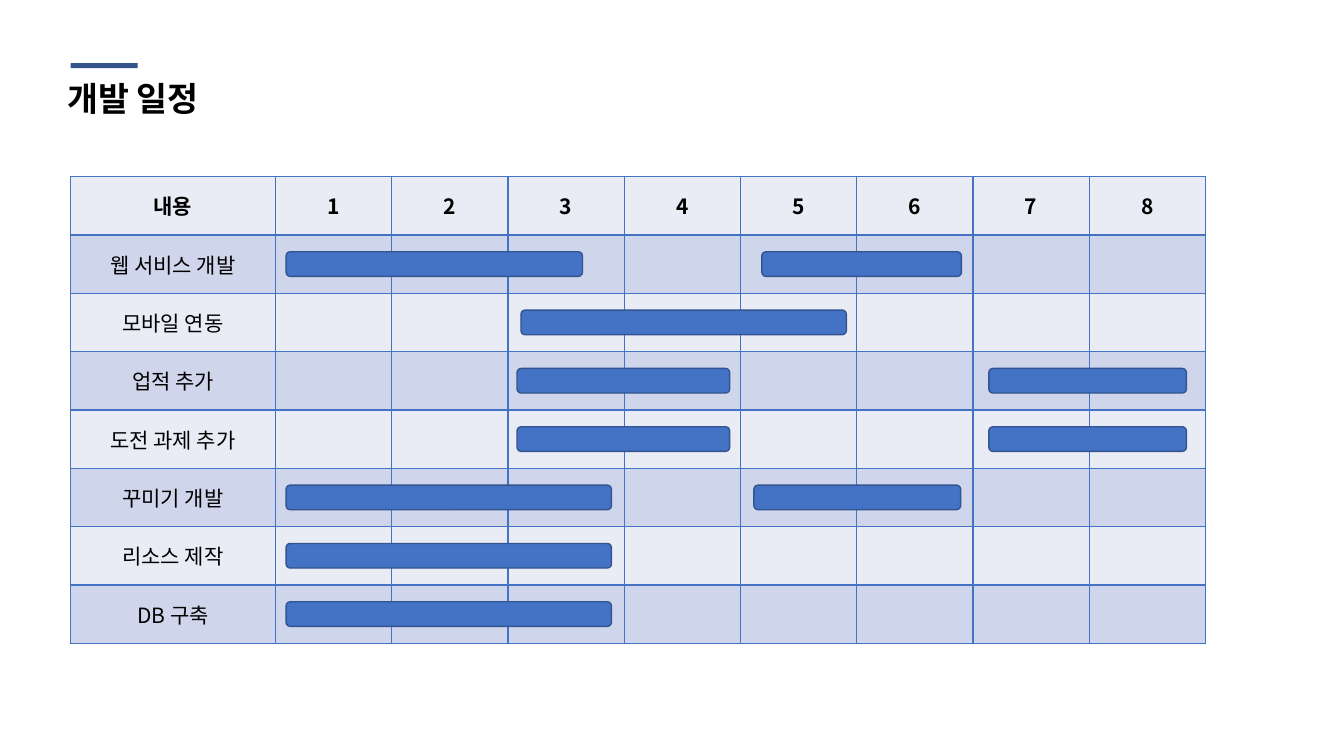
from lxml.etree import SubElement
from pptx import Presentation
from pptx.dml.color import RGBColor
from pptx.enum.shapes import MSO_SHAPE as SHAPE
from pptx.enum.text import MSO_ANCHOR as ANCHOR, PP_ALIGN as ALIGN
from pptx.oxml.ns import qn
from pptx.util import Cm, Pt

BLACK = RGBColor(0x00, 0x00, 0x00)
ACCENT = RGBColor(0x34, 0x55, 0x8B)
BLUE = RGBColor(0x44, 0x72, 0xC4)
BAR_LINE = RGBColor(0x32, 0x54, 0x91)
BANDS = [RGBColor(0xE9, 0xEB, 0xF5), RGBColor(0xCF, 0xD5, 0xEA)]
FONT = "Noto Sans CJK KR"

# Table geometry in centimetres
LEFT, TOP = 1.78, 4.45
LABEL_W, MONTH_W, ROW_H = 5.16, 2.93, 1.47
BAR_H = 0.62

MONTHS = 8
# Each task with its bars as (left, width) in centimetres
TASKS = [
    ("웹 서비스 개발", [(7.21, 7.47), (19.2, 5.03)]),
    ("모바일 연동", [(13.13, 8.2)]),
    ("업적 추가", [(13.03, 5.36), (24.92, 4.98)]),
    ("도전 과제 추가", [(13.03, 5.36), (24.92, 4.98)]),
    ("꾸미기 개발", [(7.21, 8.2), (19.0, 5.21)]),
    ("리소스 제작", [(7.21, 8.2)]),
    ("DB 구축", [(7.21, 8.2)]),
]


def style_run(r, size, bold, latin):
    r.font.size = Pt(size)
    r.font.bold = bold
    r.font.name = latin
    r.font.color.rgb = BLACK
    SubElement(r._r.get_or_add_rPr(), qn("a:ea"), typeface=FONT)


def add_borders(cell):
    tc_pr = cell._tc.get_or_add_tcPr()
    for side in ("a:lnL", "a:lnR", "a:lnT", "a:lnB"):
        ln = SubElement(tc_pr, qn(side), w=str(Pt(1)))
        fill = SubElement(ln, qn("a:solidFill"))
        SubElement(fill, qn("a:srgbClr"), val=str(BLUE))


prs = Presentation()
prs.slide_width, prs.slide_height = Cm(33.87), Cm(19.05)
s = prs.slides.add_slide(prs.slide_layouts[6])

# Title with its accent line
accent = s.shapes.add_shape(SHAPE.RECTANGLE, Cm(1.78), Cm(1.59), Cm(1.69), Cm(0.13))
accent.shadow.inherit = False
accent.fill.solid()
accent.fill.fore_color.rgb = ACCENT
accent.line.fill.background()

title = s.shapes.add_textbox(Cm(1.45), Cm(1.85), Cm(4.83), Cm(1.28))
tf = title.text_frame
tf.word_wrap = True
tf.text = "개발 일정"
style_run(tf.paragraphs[0].runs[0], 24, True, "Arial")

# Schedule table
rows = [["내용"] + [str(m + 1) for m in range(MONTHS)]]
rows += [[task] + [""] * MONTHS for task, _ in TASKS]
table = s.shapes.add_table(
    len(rows), MONTHS + 1, Cm(LEFT), Cm(TOP),
    Cm(LABEL_W + MONTHS * MONTH_W), Cm(len(rows) * ROW_H)).table
for i, column in enumerate(table.columns):
    column.width = Cm(MONTH_W if i else LABEL_W)
for i, texts in enumerate(rows):
    table.rows[i].height = Cm(ROW_H)
    for j, text in enumerate(texts):
        cell = table.cell(i, j)
        add_borders(cell)
        cell.fill.solid()
        cell.fill.fore_color.rgb = BANDS[i % 2]
        cell.vertical_anchor = ANCHOR.MIDDLE
        cell.margin_left = cell.margin_right = Cm(0.2)
        cell.margin_top = cell.margin_bottom = Cm(0.1)
        if text:
            cell.text_frame.text = text
            p = cell.text_frame.paragraphs[0]
            p.alignment = ALIGN.CENTER
            style_run(p.runs[0], 15, i == 0, FONT)

# Schedule bars, centred in their rows
for i, (_, bars) in enumerate(TASKS, start=1):
    top = TOP + i * ROW_H + (ROW_H - BAR_H) / 2
    for left, width in bars:
        bar = s.shapes.add_shape(
            SHAPE.ROUNDED_RECTANGLE, Cm(left), Cm(top), Cm(width), Cm(BAR_H))
        bar.shadow.inherit = False
        bar.fill.solid()
        bar.fill.fore_color.rgb = BLUE
        bar.line.color.rgb = BAR_LINE
        bar.line.width = Pt(1)

prs.save("out.pptx")
